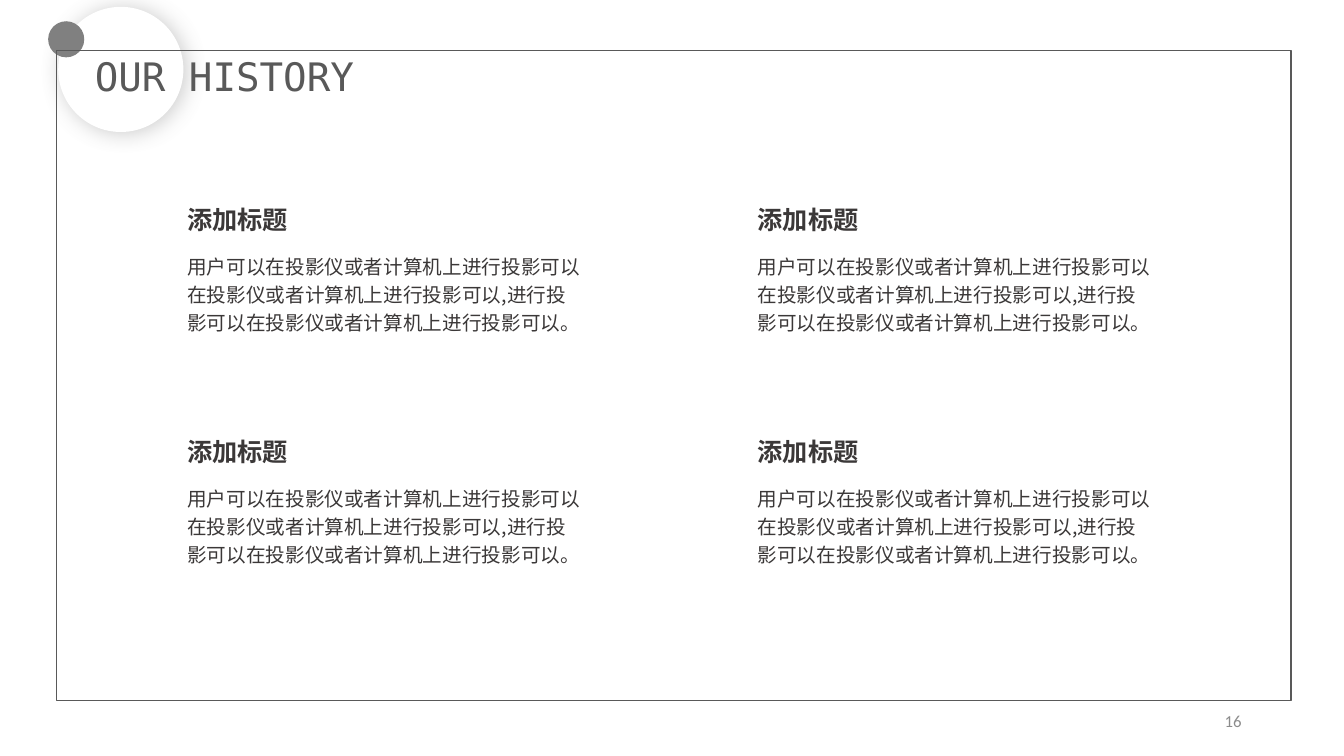
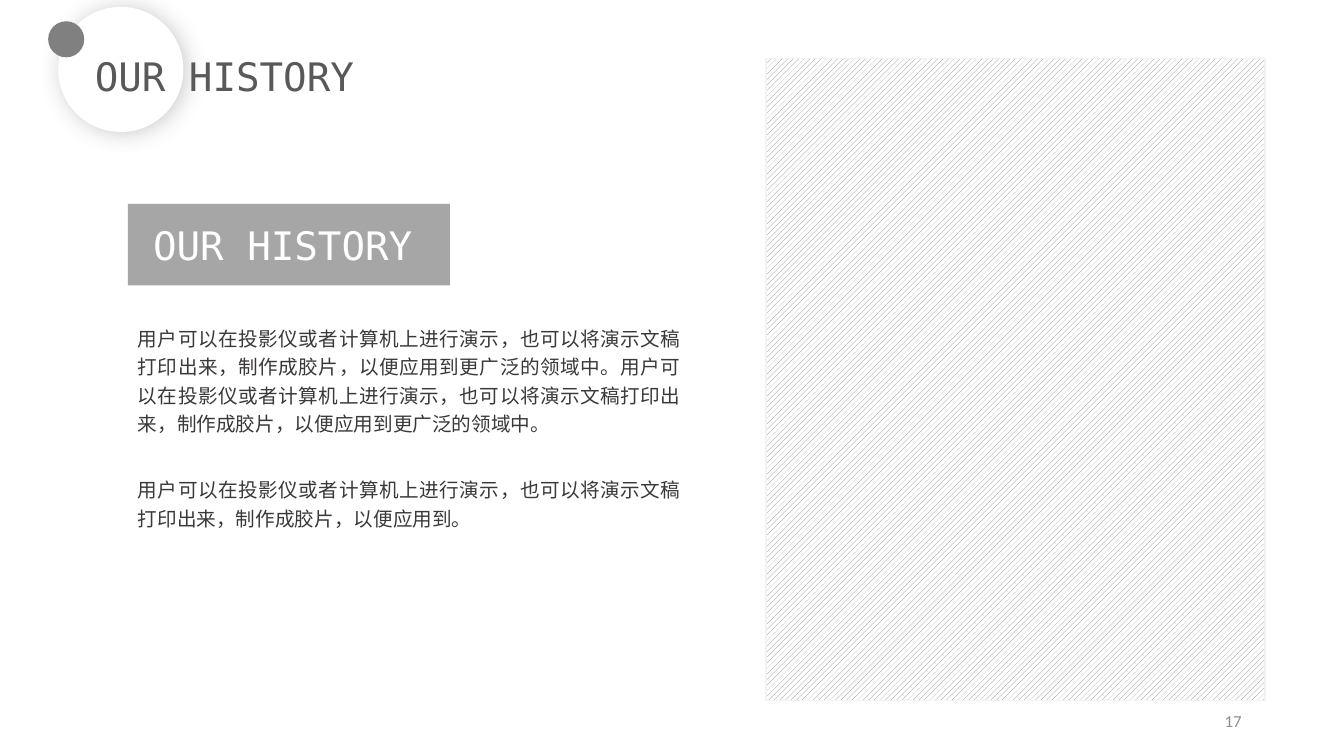
"""Build two history slides that share a title style, a badge and a page number."""

from dataclasses import dataclass, replace
from itertools import product

from lxml.etree import SubElement
from pptx import Presentation
from pptx.dml.color import RGBColor
from pptx.enum.dml import MSO_PATTERN
from pptx.enum.shapes import MSO_SHAPE
from pptx.enum.text import MSO_ANCHOR as Anchor, MSO_AUTO_SIZE as AutoSize, PP_ALIGN as Align
from pptx.oxml.ns import qn
from pptx.shapes.autoshape import Shape
from pptx.slide import Slide
from pptx.text.text import TextFrame
from pptx.util import Pt

WHITE = RGBColor(0xFF, 0xFF, 0xFF)
PALE = RGBColor(0xF2, 0xF2, 0xF2)
SILVER = RGBColor(0xA6, 0xA6, 0xA6)
PAGE_GRAY = RGBColor(0x8C, 0x8C, 0x8C)
GRAY = RGBColor(0x80, 0x80, 0x80)
SLATE = RGBColor(0x59, 0x59, 0x59)
INK = RGBColor(0x3B, 0x38, 0x38)

TITLE = "OUR HISTORY"
TOPIC_HEADING = "添加标题"
TOPIC_BODY = (
    "用户可以在投影仪或者计算机上进行投影可以在投影仪或者计算机上进行投影可以,"
    "进行投影可以在投影仪或者计算机上进行投影可以。"
)
STORY_SENTENCE = (
    "用户可以在投影仪或者计算机上进行演示，也可以将演示文稿打印出来，"
    "制作成胶片，以便应用到更广泛的领域中。"
)
STORY_CLOSING = (
    "用户可以在投影仪或者计算机上进行演示，也可以将演示文稿打印出来，"
    "制作成胶片，以便应用到。"
)


@dataclass(frozen=True)
class Box:
    """Position and size in points."""

    left: float
    top: float
    width: float
    height: float

    def lengths(self) -> tuple[Pt, Pt, Pt, Pt]:
        """Return left, top, width and height as lengths."""
        return Pt(self.left), Pt(self.top), Pt(self.width), Pt(self.height)


@dataclass(frozen=True)
class TextStyle:
    """Font and paragraph settings of one kind of text."""

    font: str
    size: float
    color: RGBColor
    bold: bool = False
    align: Align = Align.LEFT
    line_spacing: float = 1.0


TITLE_STYLE = TextStyle("DejaVu Sans Mono", 28, SLATE)
BAND_STYLE = replace(TITLE_STYLE, color=WHITE)
BODY_STYLE = TextStyle("Noto Sans CJK SC", 14, INK, line_spacing=1.2)
STORY_STYLE = replace(BODY_STYLE, align=Align.JUSTIFY)
HEADING_STYLE = TextStyle("Noto Sans CJK SC", 18, INK, bold=True)
PAGE_STYLE = TextStyle("Calibri", 12, PAGE_GRAY, align=Align.RIGHT)

TITLE_BOX = Box(67.7, 37.4, 224, 33.8)
PAGE_BOX = Box(678, 500.5, 216, 28.8)
DISC_BOX = Box(41.6, 4.9, 89.4, 89.4)
DOT_BOX = Box(34.4, 15.2, 25.8, 25.8)
FRAME_BOX = Box(40.3, 36, 882, 464.4)
BAND_BOX = Box(91.4, 145.6, 230, 58.3)
PANEL_BOX = Box(547.2, 41.8, 356.4, 458.6)
STORY_BOXES = (Box(91.4, 226.8, 402, 88.6), Box(91.4, 334.8, 402, 48.2))

TOPIC_LEFT, TOPIC_TOP = 126.7, 142.4
TOPIC_COLUMN_STEP, TOPIC_ROW_STEP = 407.4, 165.8
TOPIC_BODY_OFFSET = 32.7


def write(frame: TextFrame, text: str, style: TextStyle) -> None:
    """Put one styled paragraph into a text frame."""
    frame.word_wrap = True
    paragraph = frame.paragraphs[0]
    paragraph.text = text
    paragraph.alignment = style.align
    paragraph.line_spacing = style.line_spacing
    font = paragraph.font
    font.name, font.size, font.bold = style.font, Pt(style.size), style.bold
    font.color.rgb = style.color
    properties = paragraph._p.get_or_add_pPr().find(qn("a:defRPr"))
    SubElement(properties, qn("a:ea"), typeface=style.font)


def add_text(slide: Slide, box: Box, text: str, style: TextStyle) -> Shape:
    """Add a text box that grows with its text."""
    shape = slide.shapes.add_textbox(*box.lengths())
    write(shape.text_frame, text, style)
    shape.text_frame.auto_size = AutoSize.SHAPE_TO_FIT_TEXT
    return shape


def add_plain(shapes, kind: MSO_SHAPE, box: Box, fill: RGBColor | None = None,
              line: RGBColor | None = None) -> Shape:
    """Add a shadowless shape with an optional fill and outline."""
    shape = shapes.add_shape(kind, *box.lengths())
    shape.shadow.inherit = False
    if fill is None:
        shape.fill.background()
    else:
        shape.fill.solid()
        shape.fill.fore_color.rgb = fill
    if line is None:
        shape.line.fill.background()
    else:
        shape.line.color.rgb = line
        shape.line.width = Pt(1)
    return shape


def add_soft_shadow(shape: Shape) -> None:
    """Give a shape a blurred gray shadow."""
    effects = shape.element.spPr.find(qn("a:effectLst"))
    shadow = SubElement(effects, qn("a:outerShdw"), blurRad=str(Pt(16)), dist=str(Pt(2)),
                        dir=str(30 * 60000), algn="ctr", rotWithShape="0")
    color = SubElement(shadow, qn("a:srgbClr"), val=str(GRAY))
    SubElement(color, qn("a:alpha"), val="40000")


def add_badge(slide: Slide) -> None:
    """Add the white disc and gray dot behind the title."""
    group = slide.shapes.add_group_shape()
    disc = add_plain(group.shapes, MSO_SHAPE.OVAL, DISC_BOX, WHITE)
    add_soft_shadow(disc)
    add_plain(group.shapes, MSO_SHAPE.OVAL, DOT_BOX, GRAY)


def start_slide(presentation: Presentation, page: int) -> Slide:
    """Add a slide with its badge and page number."""
    slide = presentation.slides.add_slide(presentation.slide_layouts[5])
    add_badge(slide)
    number = add_text(slide, PAGE_BOX, str(page), PAGE_STYLE)
    number.text_frame.auto_size = AutoSize.NONE
    number.text_frame.vertical_anchor = Anchor.MIDDLE
    return slide


def place_title(slide: Slide) -> None:
    """Format the title and bring it to the front."""
    title = slide.shapes.title
    title.left, title.top, title.width, title.height = TITLE_BOX.lengths()
    frame = title.text_frame
    frame.margin_left = frame.margin_right = frame.margin_top = frame.margin_bottom = 0
    frame.vertical_anchor = Anchor.MIDDLE
    write(frame, TITLE, TITLE_STYLE)
    frame.auto_size = AutoSize.SHAPE_TO_FIT_TEXT
    slide.shapes.element.append(title.element)


def add_topic(slide: Slide, left: float, top: float) -> None:
    """Add a heading with its description below."""
    add_text(slide, Box(left, top, 114.5, 28.8), TOPIC_HEADING, HEADING_STYLE)
    add_text(slide, Box(left, top + TOPIC_BODY_OFFSET, 297.4, 68.4), TOPIC_BODY, BODY_STYLE)


def build_topics(presentation: Presentation) -> None:
    """Build the framed slide with a grid of four topics."""
    slide = start_slide(presentation, 16)
    add_plain(slide.shapes, MSO_SHAPE.RECTANGLE, FRAME_BOX, line=SLATE)
    for row, column in product(range(2), repeat=2):
        add_topic(slide, TOPIC_LEFT + column * TOPIC_COLUMN_STEP,
                  TOPIC_TOP + row * TOPIC_ROW_STEP)
    place_title(slide)


def build_story(presentation: Presentation) -> None:
    """Build the slide with a story and a hatched panel."""
    slide = start_slide(presentation, 17)
    band = add_plain(slide.shapes, MSO_SHAPE.RECTANGLE, BAND_BOX, SILVER)
    band.text_frame.margin_left, band.text_frame.margin_right = Pt(18), 0
    band.text_frame.vertical_anchor = Anchor.MIDDLE
    write(band.text_frame, TITLE, BAND_STYLE)
    for box, text in zip(STORY_BOXES, (STORY_SENTENCE * 2, STORY_CLOSING)):
        add_text(slide, box, text, STORY_STYLE)
    panel = add_plain(slide.shapes, MSO_SHAPE.RECTANGLE, PANEL_BOX, line=PALE)
    panel.fill.patterned()
    panel.fill.pattern = MSO_PATTERN.WIDE_UPWARD_DIAGONAL
    panel.fill.fore_color.rgb = GRAY
    panel.fill.back_color.rgb = WHITE
    place_title(slide)


def main() -> None:
    """Build and save the presentation."""
    presentation = Presentation()
    presentation.slide_width, presentation.slide_height = Pt(960), Pt(540)
    build_topics(presentation)
    build_story(presentation)
    presentation.save("out.pptx")


if __name__ == "__main__":
    main()
